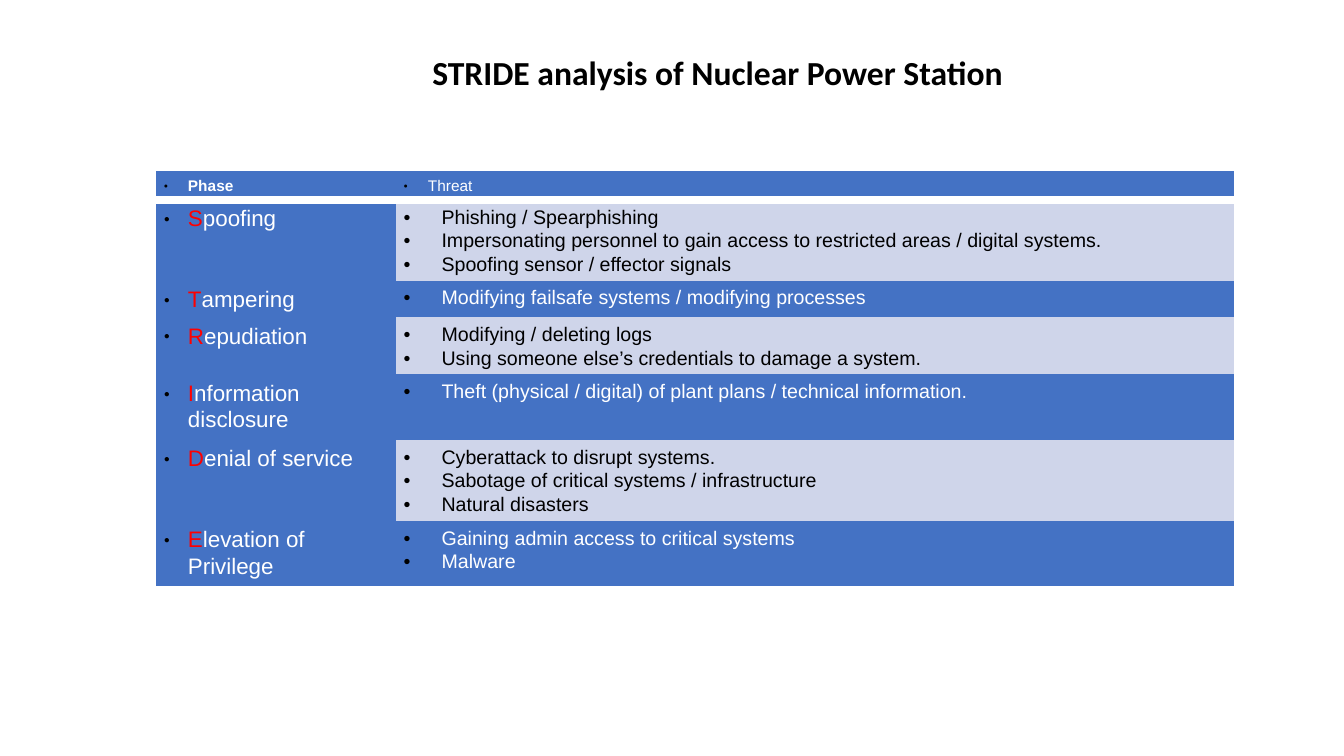
"""Build a slide with a STRIDE threat table for a nuclear power station."""
from lxml.etree import SubElement
from pptx import Presentation
from pptx.dml.color import RGBColor
from pptx.enum.text import MSO_AUTO_SIZE, PP_ALIGN
from pptx.oxml.ns import qn
from pptx.util import Pt

COLORS = {"blue": "4472C4", "pale": "CFD5EA", "white": "FFFFFF", "black": "000000", "red": "FF0000"}
NO_STYLE = "{2D5ABB26-0587-4C30-8999-92F81FD0307C}"
HEADERS = ["Phase", "Threat"]
STRIDE = [
    ("Spoofing", 55.4, [
        "Phishing / Spearphishing",
        "Impersonating personnel to gain access to restricted areas / digital systems.",
        "Spoofing sensor / effector signals"]),
    ("Tampering", 23, ["Modifying failsafe systems / modifying processes"]),
    ("Repudiation", 36.7, [
        "Modifying / deleting logs",
        "Using someone else’s credentials to damage a system."]),
    ("Information disclosure", 46.8, [
        "Theft (physical / digital) of plant plans / technical information."]),
    ("Denial of service", 55.4, [
        "Cyberattack to disrupt systems.",
        "Sabotage of critical systems / infrastructure",
        "Natural disasters"]),
    ("Elevation of Privilege", 46.8, ["Gaining admin access to critical systems", "Malware"]),
]


def add_text(paragraph, text, size=14, color="white", bold=False, font="Arial"):
    run = paragraph.add_run()
    run.text = text
    run.font.name = font
    run.font.size = Pt(size)
    run.font.bold = bold
    run.font.color.rgb = RGBColor.from_string(COLORS[color])


def format_bullet(paragraph, character, indent, space_after=8, percent=100):
    properties = paragraph._p.get_or_add_pPr()
    properties.set("marL", str(Pt(indent)))
    properties.set("indent", str(-Pt(indent)))
    bullet_color = SubElement(properties, qn("a:buClr"))
    SubElement(bullet_color, qn("a:srgbClr"), val=COLORS["black"])
    SubElement(properties, qn("a:buSzPct"), val=str(percent * 1000))
    SubElement(properties, qn("a:buFont"), typeface="Arial")
    SubElement(properties, qn("a:buChar"), char=character)
    paragraph.line_spacing = 1.07
    paragraph.space_after = Pt(space_after)


presentation = Presentation()
presentation.slide_width = Pt(960)
presentation.slide_height = Pt(540)
slide = presentation.slides.add_slide(presentation.slide_layouts[6])

frame = slide.shapes.add_table(len(STRIDE) + 1, 2, Pt(111.6), Pt(122.4), Pt(769.7), Pt(282.1))
table = frame.table
for style in frame.element.iter(qn("a:tableStyleId")):
    style.text = NO_STYLE
table.columns[0].width = Pt(171.4)
table.columns[1].width = Pt(598.3)
table.rows[0].height = Pt(18)

for cell, header in zip(table.rows[0].cells, HEADERS):
    paragraph = cell.text_frame.paragraphs[0]
    format_bullet(paragraph, "●", 17.3, percent=45)
    add_text(paragraph, header, size=11, bold=header == "Phase")
    border = SubElement(cell._tc.get_or_add_tcPr(), qn("a:lnB"), w=str(Pt(6)))
    border_fill = SubElement(border, qn("a:solidFill"))
    SubElement(border_fill, qn("a:srgbClr"), val=COLORS["white"])

for index, (phase, height, threats) in enumerate(STRIDE, start=1):
    table.rows[index].height = Pt(height)
    paragraph = table.cell(index, 0).text_frame.paragraphs[0]
    format_bullet(paragraph, "●", 17.3, percent=45)
    add_text(paragraph, phase[0], size=16, color="red")
    add_text(paragraph, phase[1:], size=16)
    text_frame = table.cell(index, 1).text_frame
    for number, threat in enumerate(threats, start=1):
        paragraph = text_frame.paragraphs[0] if number == 1 else text_frame.add_paragraph()
        format_bullet(paragraph, "•", 27, space_after=8 if number == len(threats) else 0)
        add_text(paragraph, threat, color="black" if index % 2 else "white")

for index, row in enumerate(table.rows):
    for column, cell in enumerate(row.cells):
        cell.margin_left = cell.margin_right = Pt(5.4)
        cell.margin_top = cell.margin_bottom = Pt(3.6)
        cell.fill.solid()
        fill = "pale" if column == 1 and index % 2 else "blue"
        cell.fill.fore_color.rgb = RGBColor.from_string(COLORS[fill])

title = slide.shapes.add_textbox(Pt(140.4), Pt(33.8), Pt(744.5), Pt(36))
title.text_frame.word_wrap = True
title.text_frame.auto_size = MSO_AUTO_SIZE.SHAPE_TO_FIT_TEXT
paragraph = title.text_frame.paragraphs[0]
paragraph.alignment = PP_ALIGN.CENTER
add_text(paragraph, "STRIDE analysis of Nuclear Power Station", size=24, color="black", bold=True, font="Calibri")

presentation.save("out.pptx")
